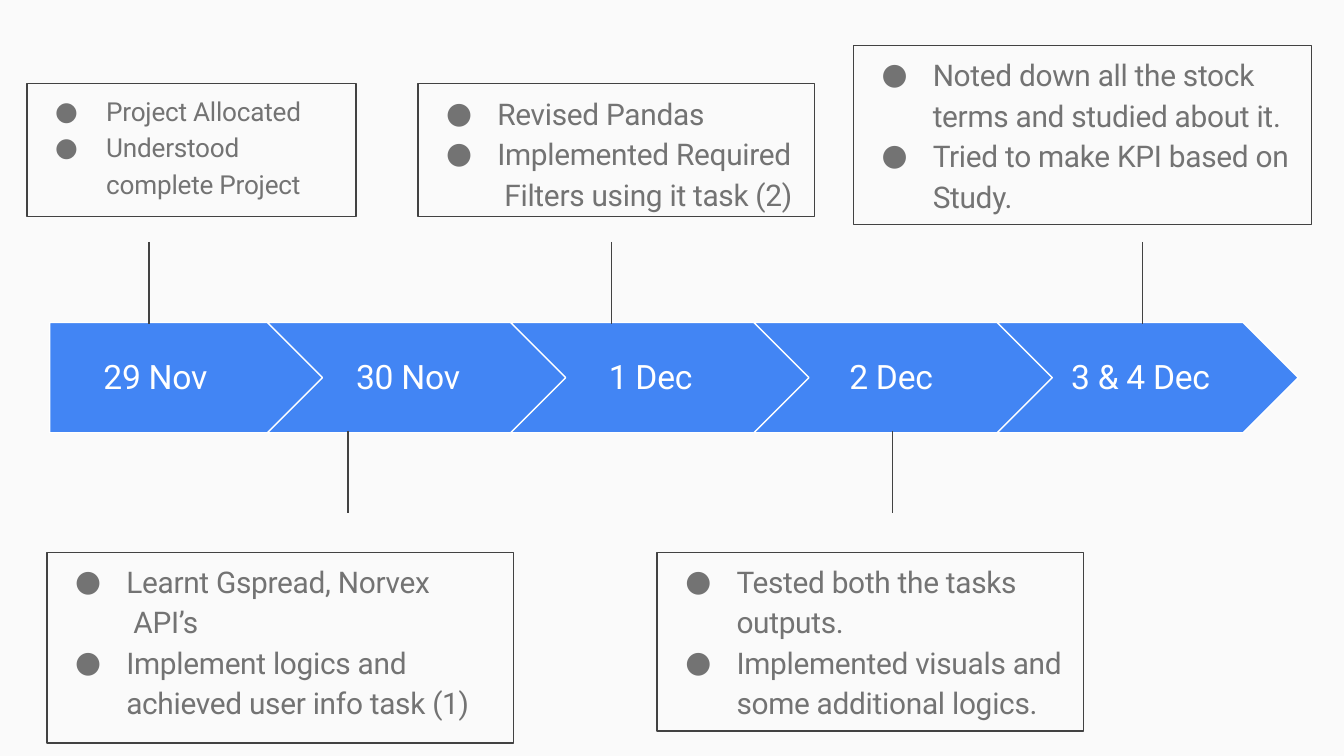
from lxml import etree
from pptx import Presentation
from pptx.dml.color import RGBColor
from pptx.enum.shapes import MSO_CONNECTOR as Line, MSO_SHAPE as Shape
from pptx.enum.text import MSO_ANCHOR as Anchor, PP_ALIGN as Align
from pptx.oxml.ns import qn
from pptx.util import Inches, Pt

COLORS = {"back": "FAFAFA", "blue": "4285F4", "white": "FFFFFF",
          "rule": "424242", "text": "737373"}
FONT = "Roboto"

# Arrow band
TOP, HIGH, STEP, STEM = 2.4, 0.82, 1.81, 0.61

# Label, label left, label width, stem x, stem above the band
DAYS = [
    ("29 Nov", 0.76, 0.81, 1.11, True),
    ("30 Nov", 2.64, 0.81, 2.59, False),
    ("1 Dec", 4.52, 0.66, 4.55, True),
    ("2 Dec", 6.31, 0.66, 6.64, False),
    ("3 & 4 Dec", 7.96, 1.08, 8.5, True),
]

# Place, top inset, text size, line spacing (first, rest), items
# (\v is a line break)
NOTES = [
    ((0.2, 0.62, 2.45, 0.99), 0.09, 14, (1, 1.16),
     ["Project Allocated", "Understood\vcomplete Project"]),
    ((0.35, 4.11, 3.47, 1.42), 0.05, 16, (1.13, 1.13),
     ["Learnt Gspread, Norvex\v API’s",
      "Implement logics and achieved user info task (1)"]),
    ((3.11, 0.62, 2.95, 0.99), 0.09, 16, (1, 1.13),
     ["Revised Pandas",
      "Implemented Required\v Filters using it task (2)"]),
    ((4.89, 4.11, 3.17, 1.33), 0.05, 16, (1.13, 1.13),
     ["Tested both the tasks outputs.",
      "Implemented visuals and some additional logics."]),
    ((6.35, 0.34, 3.41, 1.33), 0.05, 16, (1.13, 1.13),
     ["Noted down all the stock terms and studied about it.",
      "Tried to make KPI based on Study."]),
]


def color(name):
    return RGBColor.from_string(COLORS[name])


def add_bullet(par):
    props = par._p.get_or_add_pPr()
    props.set("marL", str(Inches(0.59)))
    props.set("indent", str(Inches(-0.38)))
    etree.SubElement(props, qn("a:buFont")).set("typeface", FONT)
    etree.SubElement(props, qn("a:buChar")).set("char", "●")


def write(shape, items, size=16, tone="text", left=0, inset=0.01,
          spacing=(1, 1), bullet=False, wrap=True):
    frame = shape.text_frame
    frame.word_wrap = wrap
    frame.vertical_anchor = Anchor.TOP
    frame.margin_left, frame.margin_top = Inches(left), Inches(inset)
    frame.margin_right = frame.margin_bottom = 0
    for i, item in enumerate(items):
        par = frame.add_paragraph() if i else frame.paragraphs[0]
        par.text = item
        par.alignment = Align.LEFT
        if bullet:
            add_bullet(par)
        par.line_spacing = spacing[min(i, 1)]
        par.font.size = Pt(size)
        for run in par.runs:
            font = run.font
            font.name, font.size = FONT, Pt(size)
            font.color.rgb = color(tone)
            font._element.set("spc", "-13")


def add_block(slide, kind, place, fill, line):
    shape = slide.shapes.add_shape(kind, *map(Inches, place))
    shape.shadow.inherit = False
    shape.fill.solid()
    shape.fill.fore_color.rgb = color(fill)
    shape.line.color.rgb = color(line)
    shape.line.width = Pt(0.75)
    return shape


def add_stem(slide, x, above):
    y = 1.8 if above else 3.21
    stem = slide.shapes.add_connector(
        Line.STRAIGHT, Inches(x), Inches(y), Inches(x), Inches(y + STEM))
    stem.line.color.rgb = color("rule")
    stem.line.width = Pt(0.75)
    etree.SubElement(stem._element.spPr, qn("a:effectLst"))


def add_day(slide, i, label, left, width, x, above):
    if i:
        kind, place = Shape.CHEVRON, (0.18 + STEP * i, TOP, 2.24, HIGH)
    else:
        kind, place = Shape.PENTAGON, (0.37, TOP, 2.05, HIGH)
    add_block(slide, kind, place, "blue", "white")
    add_stem(slide, x, above)
    box = slide.shapes.add_textbox(
        *map(Inches, (left, 2.64, width, 0.33)))
    write(box, [label], size=18, tone="white", left=0.01, wrap=True)


def add_note(slide, place, inset, size, spacing, items):
    box = add_block(slide, Shape.RECTANGLE, place, "back", "rule")
    write(box, items, size=size, inset=inset, spacing=spacing, bullet=True)


def main():
    deck = Presentation()
    deck.slide_width = Inches(10)
    deck.slide_height = deck.slide_width * 9 // 16
    slide = deck.slides.add_slide(deck.slide_layouts[6])
    slide.background.fill.solid()
    slide.background.fill.fore_color.rgb = color("back")

    # Timeline
    for i, day in enumerate(DAYS):
        add_day(slide, i, *day)

    # Notes on each day
    for note in NOTES:
        add_note(slide, *note)

    deck.save("out.pptx")


if __name__ == "__main__":
    main()
